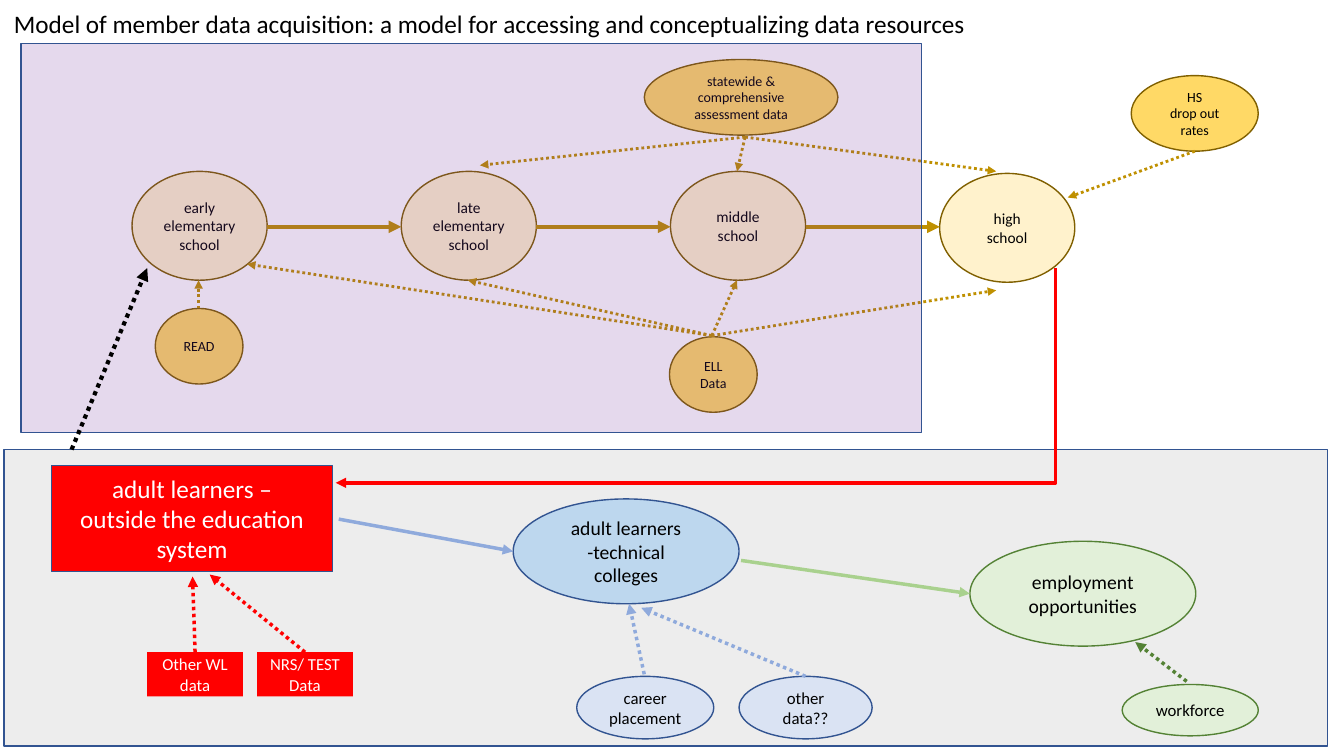
"""Draw the model of member data acquisition as linked nodes on one slide."""
from dataclasses import dataclass
from typing import Optional

from lxml.etree import SubElement
from pptx import Presentation
from pptx.dml.color import RGBColor
from pptx.enum.dml import MSO_LINE
from pptx.enum.shapes import MSO_CONNECTOR, MSO_SHAPE
from pptx.enum.text import MSO_ANCHOR, MSO_AUTO_SIZE, PP_ALIGN
from pptx.oxml.ns import qn
from pptx.util import Emu, Inches, Pt

WIDE, HIGH = Inches(13.33), Inches(7.5)
COLS, ROWS = 13.33, 7.5
FONT = "Calibri"
BLACK, WHITE, RED, NAVY = "000000", "FFFFFF", "FF0000", "325491"
BROWN, GOLD, CREAM, AMBER = "806000", "BF9000", "FFF2CC", "FFD966"
GREEN, MINT, LIME = "548235", "E2F0D9", "A9D18E"
SKY, ICE, BLUE = "BDD7EE", "DAE3F3", "8FAADC"
RECT, OVAL = MSO_SHAPE.RECTANGLE, MSO_SHAPE.OVAL
TOP = 0


@dataclass
class Node:
    left: float
    top: float
    width: float
    height: float
    fill: str
    edge: Optional[str]
    text: str = ""
    size: int = 12
    form: MSO_SHAPE = OVAL
    ink: str = BLACK
    alpha: int = 100


@dataclass
class Link:
    start: tuple[float, float]
    end: tuple[float, float]
    tint: str
    weight: float = 2.5
    dots: bool = True
    root: str = ""


STEP, FIRST, SPAN = 2.67, 1.31, 1.34
GRADES = [("early\nelementary\nschool", 1.7), ("late\nelementary\nschool", 1.7),
          ("middle\nschool", 1.7), ("high\nschool", 1.72)]
SCHOOLS = [Node(FIRST + i * STEP, top, SPAN, 1.08, CREAM, BROWN, text, 11)
           for i, (text, top) in enumerate(GRADES)]
CHAIN = [Link((FIRST + SPAN + i * STEP, 2.25), (FIRST + (i + 1) * STEP, 2.25), GOLD, 3, False)
         for i in range(len(GRADES) - 1)]

GROUND = Node(0.04, 4.46, 13.13, 2.94, "D9D9D9", NAVY, form=RECT, alpha=47)
VEIL = Node(0.21, 0.43, 8.93, 3.86, "7030A0", NAVY, form=RECT, alpha=18)

NODES = SCHOOLS + [
    Node(1.54, 3.06, 0.87, 0.75, AMBER, BROWN, "READ", 10),
    Node(6.64, 3.34, 0.87, 0.75, AMBER, BROWN, "ELL Data", 10),
    Node(6.39, 0.59, 1.92, 0.75, AMBER, BROWN, "statewide &\ncomprehensive assessment data", 10),
    Node(11.22, 0.75, 1.26, 0.75, AMBER, BROWN, "HS\ndrop out rates", 10),
    Node(0.51, 4.62, 2.79, 1.05, RED, NAVY,
         "adult learners –\noutside the education\nsystem", 18, RECT, WHITE),
    Node(5.09, 4.95, 2.24, 1.04, SKY, NAVY, "adult learners -technical colleges", 14),
    Node(5.72, 6.71, 1.36, 0.62, ICE, NAVY, "career\nplacement"),
    Node(7.33, 6.71, 1.32, 0.62, ICE, NAVY, "other data??"),
    Node(1.46, 6.47, 0.95, 0.44, RED, None, "Other WL data", 12, RECT, WHITE),
    Node(2.55, 6.47, 0.95, 0.44, RED, None, "NRS/ TEST Data", 12, RECT, WHITE),
    Node(9.62, 5.37, 2.24, 1.04, MINT, GREEN, "employment opportunities", 14),
    Node(11.13, 6.79, 1.35, 0.51, MINT, GREEN, "workforce"),
]

DATA = [
    ((1.97, 3.06), [(1.97, 2.78)]),
    ((7.06, 3.33), [(2.45, 2.62), (4.64, 2.78), (7.31, 2.78), (9.88, 2.88)]),
    ((7.39, 1.36), [(9.88, 1.7), (4.76, 1.64), (7.31, 1.7)]),
    ((11.85, 1.5), [(10.59, 1.96)]),
]
LINKS = CHAIN + [Link(start, end, GOLD, 2) for start, ends in DATA for end in ends] + [
    Link((3.36, 5.15), (5.09, 5.47), BLUE, dots=False),
    Link((6.39, 6.69), (6.24, 5.99), BLUE),
    Link((7.99, 6.71), (6.36, 6.03), BLUE),
    Link((7.35, 5.56), (9.62, 5.89), LIME, dots=False),
    Link((11.77, 6.76), (11.26, 6.37), GREEN),
    Link((1.93, 6.47), (1.91, 5.72), RED, root="Other WL data"),
    Link((3.03, 6.47), (2.08, 5.7), RED, root="NRS/ TEST Data"),
]
ELBOW = Link((10.47, 2.66), (3.33, 4.79), RED, dots=False)
RETURN = Link((0.71, 4.46), (1.46, 2.66), BLACK, 3)


def col(n: float) -> Emu:
    """Return the width of n grid columns."""
    return Emu(round(WIDE * n / COLS))


def row(n: float) -> Emu:
    """Return the height of n grid rows."""
    return Emu(round(HIGH * n / ROWS))


def hue(code: str) -> RGBColor:
    """Turn a hex string into a colour."""
    return RGBColor.from_string(code)


def write(frame, text: str, size: int, ink: str, align: PP_ALIGN) -> None:
    """Fill a text frame, one paragraph to a line."""
    for i, line in enumerate(text.split("\n")):
        para = frame.paragraphs[0] if i == 0 else frame.add_paragraph()
        para.alignment = align
        run = para.add_run()
        run.text = line
        run.font.name, run.font.size = FONT, Pt(size)
        run.font.color.rgb = hue(ink)


def draw(slide, node: Node):
    """Add a node and return its shape."""
    shape = slide.shapes.add_shape(node.form, col(node.left), row(node.top),
                                   col(node.width), row(node.height))
    shape.shadow.inherit = False
    shape.fill.solid()
    shape.fill.fore_color.rgb = hue(node.fill)
    if node.alpha < 100:
        paint = shape._element.spPr.find(qn("a:solidFill"))[0]
        SubElement(paint, qn("a:alpha")).set("val", str(node.alpha * 1000))
    if node.edge:
        shape.line.color.rgb = hue(node.edge)
        shape.line.width = Pt(1)
    else:
        shape.line.fill.background()
    if node.text:
        shape.text_frame.vertical_anchor = MSO_ANCHOR.MIDDLE
        write(shape.text_frame, node.text, node.size, node.ink, PP_ALIGN.CENTER)
    return shape


def join(slide, link: Link, roots: dict):
    """Add an arrow and return its connector."""
    (x, y), (u, v) = link.start, link.end
    wire = slide.shapes.add_connector(MSO_CONNECTOR.STRAIGHT, col(x), row(y), col(u), row(v))
    if link.root:
        wire.begin_connect(roots[link.root], TOP)
    wire.line.color.rgb = hue(link.tint)
    wire.line.width = Pt(link.weight)
    if link.dots:
        wire.line.dash_style = MSO_LINE.ROUND_DOT
    props = wire._element.spPr
    SubElement(props.find(qn("a:ln")), qn("a:tailEnd")).set("type", "triangle")
    SubElement(props, qn("a:effectLst"))
    return wire


def bend(slide, link: Link) -> None:
    """Add an arrow that runs down, then left."""
    wire = join(slide, link, {})
    (x, y), (u, v) = link.start, link.end
    drop, reach = v - y, x - u
    wire.left, wire.top = col((x + u - drop) / 2), row((y + v - reach) / 2)
    wire.width, wire.height = col(drop), row(reach)
    props = wire._element.spPr
    frame = props.find(qn("a:xfrm"))
    frame.attrib.pop("flipH", None)
    frame.set("rot", "5400000")
    props.find(qn("a:prstGeom")).set("prst", "bentConnector2")


def head(slide) -> None:
    """Add the title."""
    box = slide.shapes.add_textbox(col(0.04), row(0.03), col(9.76), row(0.4))
    box.text_frame.word_wrap = False
    box.text_frame.auto_size = MSO_AUTO_SIZE.SHAPE_TO_FIT_TEXT
    write(box.text_frame, "Model of member data acquisition: a model for accessing "
          "and conceptualizing data resources", 18, BLACK, PP_ALIGN.LEFT)


def main() -> None:
    """Build and save the slide."""
    deck = Presentation()
    deck.slide_width, deck.slide_height = WIDE, HIGH
    slide = deck.slides.add_slide(deck.slide_layouts[6])
    draw(slide, GROUND)
    head(slide)
    roots = {node.text: draw(slide, node) for node in NODES}
    for link in LINKS:
        join(slide, link, roots)
    bend(slide, ELBOW)
    draw(slide, VEIL)
    join(slide, RETURN, roots)
    deck.save("out.pptx")


if __name__ == "__main__":
    main()
